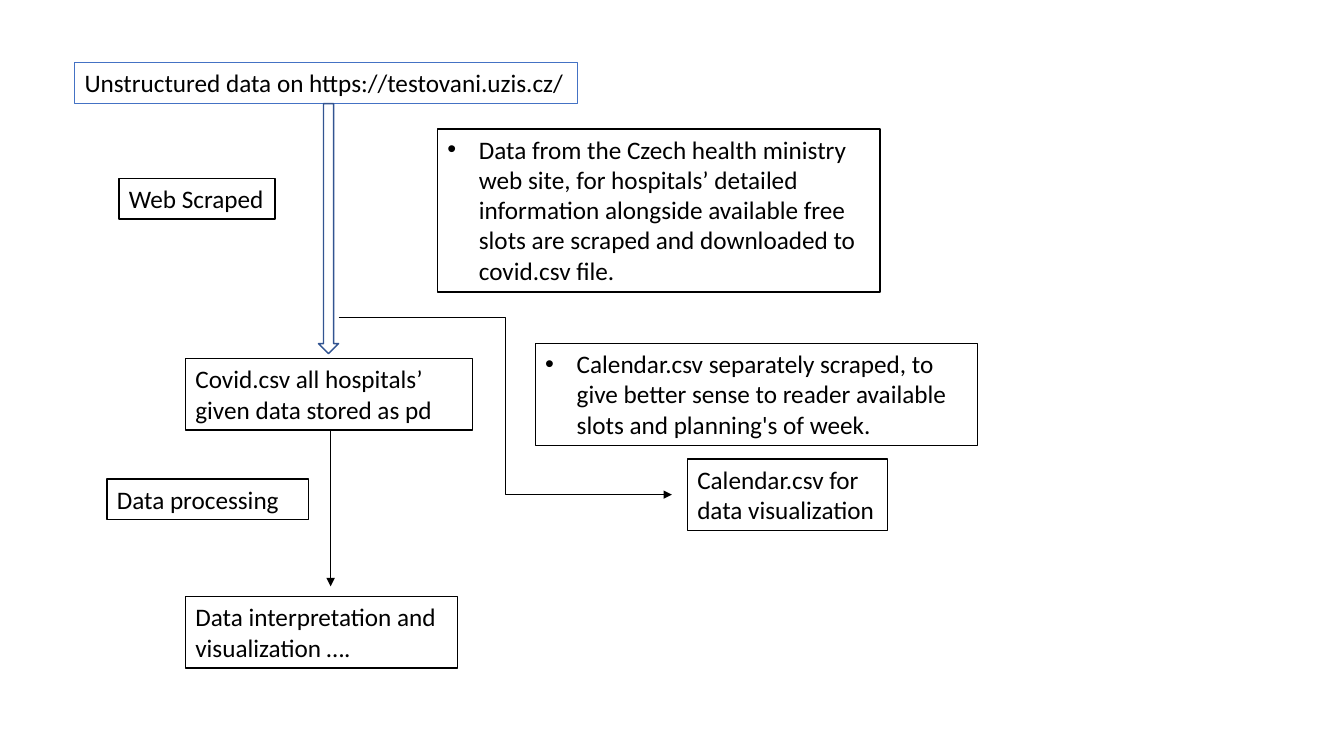
from lxml.etree import SubElement
from pptx import Presentation
from pptx.dml.color import RGBColor
from pptx.enum.shapes import MSO_CONNECTOR, MSO_SHAPE
from pptx.enum.text import MSO_ANCHOR, MSO_AUTO_SIZE, PP_ALIGN
from pptx.oxml.ns import qn
from pptx.util import Pt

COLORS = {"paper": "FFFFFF", "ink": "000000", "source": "4472C4", "arrow": "325491"}


class FlowSlide:
    """Draws the boxes and arrows of a flow chart on one slide."""

    font = "Calibri"
    size = 18
    indent = 22.5

    def __init__(self, prs):
        self.slide = prs.slides.add_slide(prs.slide_layouts[6])

    def color(self, name):
        return RGBColor.from_string(COLORS[name])

    def shape(self, kind, x, y, w, h, line):
        sp = self.slide.shapes.add_shape(kind, Pt(x), Pt(y), Pt(w), Pt(h))
        sp.shadow.inherit = False
        sp.fill.solid()
        sp.fill.fore_color.rgb = self.color("paper")
        sp.line.color.rgb = self.color(line)
        sp.line.width = Pt(1)
        return sp

    def box(self, text, x, y, w, h, line="ink", bullet=False):
        tf = self.shape(MSO_SHAPE.RECTANGLE, x, y, w, h, line).text_frame
        tf.word_wrap = True
        tf.auto_size = MSO_AUTO_SIZE.SHAPE_TO_FIT_TEXT
        tf.vertical_anchor = MSO_ANCHOR.TOP
        p = tf.paragraphs[0]
        p.alignment = PP_ALIGN.LEFT
        if bullet:
            self.bullet(p)
        r = p.add_run()
        r.text = text
        r.font.name = self.font
        r.font.size = Pt(self.size)
        r.font.color.rgb = self.color("ink")

    def bullet(self, p):
        pPr = p._p.get_or_add_pPr()
        pPr.set("marL", str(Pt(self.indent)))
        pPr.set("indent", str(-Pt(self.indent)))
        SubElement(pPr, qn("a:buFont")).set("typeface", "Arial")
        SubElement(pPr, qn("a:buChar")).set("char", "•")

    def block_arrow(self, x, y, w, h):
        self.shape(MSO_SHAPE.DOWN_ARROW, x, y, w, h, "arrow")

    def arrow(self, kind, x1, y1, x2, y2):
        cxn = self.slide.shapes.add_connector(kind, Pt(x1), Pt(y1), Pt(x2), Pt(y2))
        cxn.line.color.rgb = self.color("ink")
        cxn.line.width = Pt(0.5)
        SubElement(cxn.line._get_or_add_ln(), qn("a:tailEnd")).set("type", "triangle")
        SubElement(cxn._element.spPr, qn("a:effectLst"))


def main():
    prs = Presentation()
    prs.slide_width, prs.slide_height = Pt(960), Pt(540)
    s = FlowSlide(prs)
    one_line, two_lines = 29.1, 50.9
    main_x, note_w = 132.5, 316

    s.box("Unstructured data on https://testovani.uzis.cz/",
          53.3, 44.8, 359.3, one_line, line="source")
    s.box("Web Scraped", 85, 127.3, 111.5, one_line)
    s.block_arrow(227.5, 74, 14.4, 178.6)
    s.box("Covid.csv all hospitals’ given data stored as pd",
          main_x, 256.2, 205.2, two_lines)
    s.box("Data from the Czech health ministry web site, for hospitals’ detailed "
          "information alongside available free slots are scraped and downloaded "
          "to covid.csv file.", 312.5, 92.2, note_w, 116.4, bullet=True)
    s.arrow(MSO_CONNECTOR.ELBOW, 242, 226.8, 480, 353.3)
    s.arrow(MSO_CONNECTOR.STRAIGHT, 236.2, 307.2, 236.2, 418.8)
    s.box("Calendar.csv for data visualization", 491, 327.9, 142.8, two_lines)
    s.box("Data processing", 76.4, 342.2, 144, one_line)
    s.box("Data interpretation and visualization ….", main_x, 426.2, 194.4, two_lines)
    s.box("Calendar.csv separately scraped, to give better sense to reader available "
          "slots and planning's of week.", 382.4, 245.4, note_w, 72.7, bullet=True)
    prs.save("out.pptx")


if __name__ == "__main__":
    main()
